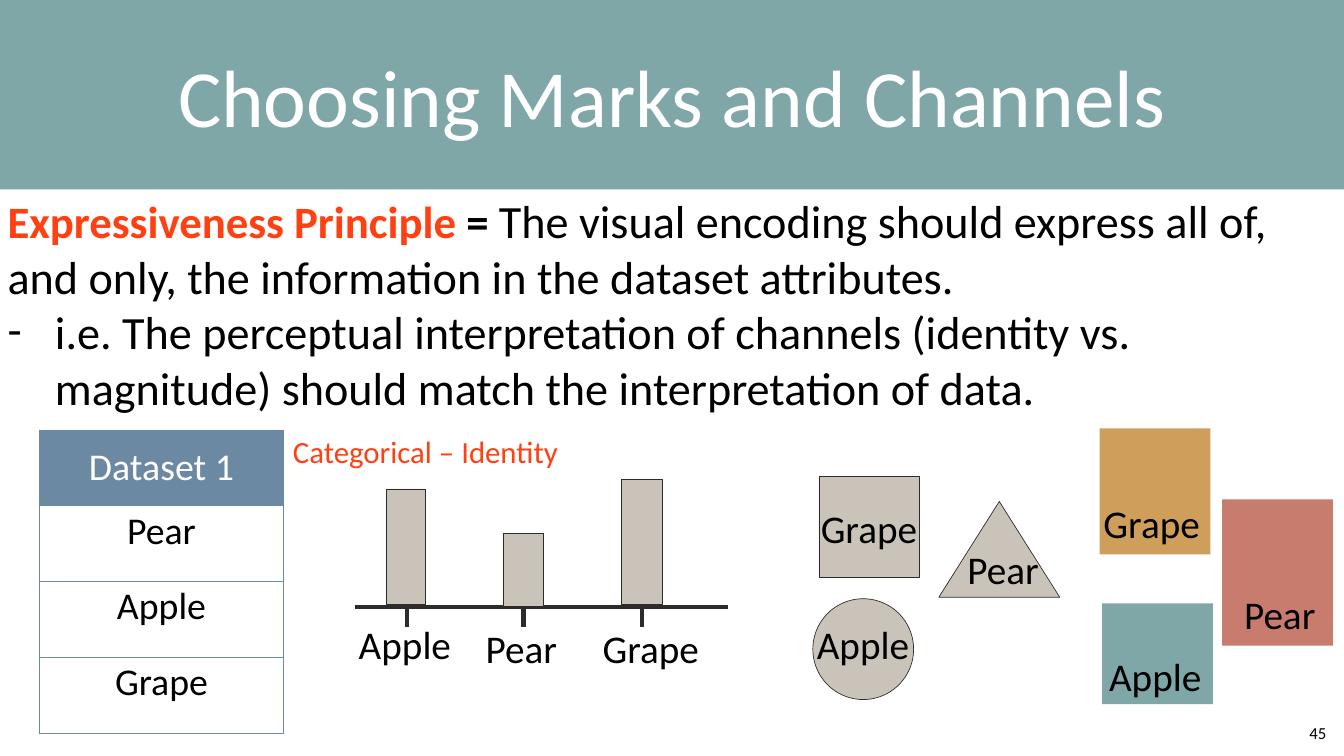
"""Build the slide on choosing marks and channels."""
from lxml import etree
from pptx import Presentation
from pptx.dml.color import RGBColor
from pptx.enum.shapes import MSO_CONNECTOR, MSO_SHAPE
from pptx.enum.text import MSO_ANCHOR, MSO_AUTO_SIZE, PP_ALIGN
from pptx.oxml.ns import qn
from pptx.util import Pt

PX = 9144
RECT, OVAL, TRI = MSO_SHAPE.RECTANGLE, MSO_SHAPE.OVAL, MSO_SHAPE.ISOSCELES_TRIANGLE
LINE = MSO_CONNECTOR.STRAIGHT
LEFT, MID = PP_ALIGN.LEFT, PP_ALIGN.CENTER
TOP, CENTER, BASE = MSO_ANCHOR.TOP, MSO_ANCHOR.MIDDLE, MSO_ANCHOR.BOTTOM
GROW = MSO_AUTO_SIZE.SHAPE_TO_FIT_TEXT
HUE = {"teal": "80A7A7", "blue": "6C89A3", "red": "FF4013", "ink": "2E2C2A",
       "stone": "C9C3BA", "gold": "CF9E5B", "rose": "C87C6D",
       "black": "000000", "white": "FFFFFF"}
WIDE = {"Pear": 155, "Apple": 197, "Grape": 211}


def emu(*nums):
    return [n * PX for n in nums]


def rgb(name):
    return RGBColor.from_string(HUE[name])


class Deck:
    def __init__(self, wide, high, face):
        self.prs = Presentation()
        self.prs.slide_width, self.prs.slide_height = emu(wide, high)
        self.face = face
        self.slide = self.prs.slides.add_slide(self.prs.slide_layouts[6])

    def runs(self, para, parts, align=MID):
        para.alignment = align
        for text, size, hue, bold in parts:
            run = para.add_run()
            run.text = text
            font = run.font
            font.name, font.size, font.bold = self.face, Pt(size), bold
            font.color.rgb = rgb(hue)

    def frame(self, shape, anchor, wrap):
        frame = shape.text_frame
        frame.word_wrap, frame.vertical_anchor = wrap, anchor
        frame.margin_left = frame.margin_right = 6 * PX
        frame.margin_top = frame.margin_bottom = 6 * PX
        return frame

    def text(self, box, paras, align=MID, anchor=TOP, wrap=True):
        frame = self.frame(self.slide.shapes.add_textbox(*emu(*box)), anchor, wrap)
        frame.auto_size = GROW
        for i, parts in enumerate(paras):
            para = frame.add_paragraph() if i else frame.paragraphs[0]
            self.runs(para, parts, align)
        return frame

    def label(self, word, left, top):
        self.text((left, top, WIDE[word], 105), [[(word, 56, "black", False)]], wrap=False)

    def shape(self, kind, box, fill, edge=None):
        shape = self.slide.shapes.add_shape(kind, *emu(*box))
        shape.shadow.inherit = False
        shape.fill.solid()
        shape.fill.fore_color.rgb = rgb(fill)
        if edge:
            shape.line.color.rgb = rgb(edge)
            shape.line.width = Pt(1)
        else:
            shape.line.fill.background()
        return shape

    def title(self, box, text):
        frame = self.frame(self.shape(RECT, box, "teal"), CENTER, True)
        self.runs(frame.paragraphs[0], [(text, 116, "white", False)])

    def line(self, *ends):
        line = self.slide.shapes.add_connector(LINE, *emu(*ends))
        line.line.color.rgb = rgb("ink")
        line.line.width = Pt(6)
        etree.SubElement(line._element.spPr, qn("a:effectLst"))

    def bullet(self, para, mark, indent):
        props = para._p.get_or_add_pPr()
        props.set("marL", str(indent * PX))
        props.set("indent", str(-indent * PX))
        etree.SubElement(props, qn("a:buFont"), typeface=self.face)
        etree.SubElement(props, qn("a:buChar"), char=mark)

    def table(self, box, words):
        table = self.slide.shapes.add_table(len(words), 1, *emu(*box)).table
        table.first_row = table.horz_banding = False
        for i, word in enumerate(words):
            cell = table.cell(i, 0)
            props = cell._tc.get_or_add_tcPr()
            for side in "LRTB":
                edge = etree.SubElement(props, qn("a:ln" + side), w=str(Pt(0.75)))
                fill = etree.SubElement(edge, qn("a:solidFill"))
                etree.SubElement(fill, qn("a:srgbClr"), val=HUE["blue"])
                etree.SubElement(edge, qn("a:prstDash"), val="solid")
            cell.fill.solid()
            cell.fill.fore_color.rgb = rgb("white" if i else "blue")
            cell.vertical_anchor = TOP if i else CENTER
            hue = "black" if i else "white"
            self.runs(cell.text_frame.paragraphs[0], [(word, 54, hue, False)])


def main():
    deck = Deck(2667, 1500, "Calibri")
    deck.text((2592, 1429, 46, 50), [[("45", 24, "black", False)]], anchor=BASE, wrap=False)
    deck.title((0, 0, 2667, 376), "Choosing Marks and Channels")
    body = deck.text((9, 376, 2629, 456), [
        [("Expressiveness Principle ", 64, "red", True),
         ("= ", 64, "black", True),
         ("The visual encoding should express all of, and only, the information "
          "in the dataset attributes.", 66, "black", False)],
        [("i.e. The perceptual interpretation of channels (identity vs. magnitude) "
          "should match the interpretation of data.", 66, "black", False)]], LEFT)
    deck.bullet(body.paragraphs[1], "-", 94)
    deck.text((440, 853, 809, 84), [[("Categorical – Identity", 44, "red", False)]])
    deck.table((78, 853, 485, 601), ["Dataset 1", "Pear", "Apple", "Grape"])

    deck.line(704, 1204, 1444, 1204)
    for mid in (807, 1039, 1274):
        deck.line(mid, 1163, mid, 1244)
    for box in ((767, 970, 78, 230), (998, 1058, 81, 145), (1233, 951, 81, 249)):
        deck.shape(RECT, box, "stone", "ink")

    for kind, box in ((RECT, (1625, 946, 200, 200)), (OVAL, (1613, 1188, 200, 200)),
                      (TRI, (1863, 995, 240, 190))):
        deck.shape(kind, box, "stone", "ink")

    for hue, box in (("gold", (2182, 850, 220, 250)), ("rose", (2425, 991, 220, 290)),
                     ("teal", (2187, 1197, 220, 200))):
        deck.shape(RECT, box, hue)

    spots = {"Pear": ((957, 1233), (1913, 1075), (2462, 1166)),
             "Apple": ((705, 1225), (1614, 1225), (2194, 1289)),
             "Grape": ((1186, 1233), (1619, 994), (2180, 984))}
    for word, places in spots.items():
        for left, top in places:
            deck.label(word, left, top)
    deck.prs.save("out.pptx")


if __name__ == "__main__":
    main()
